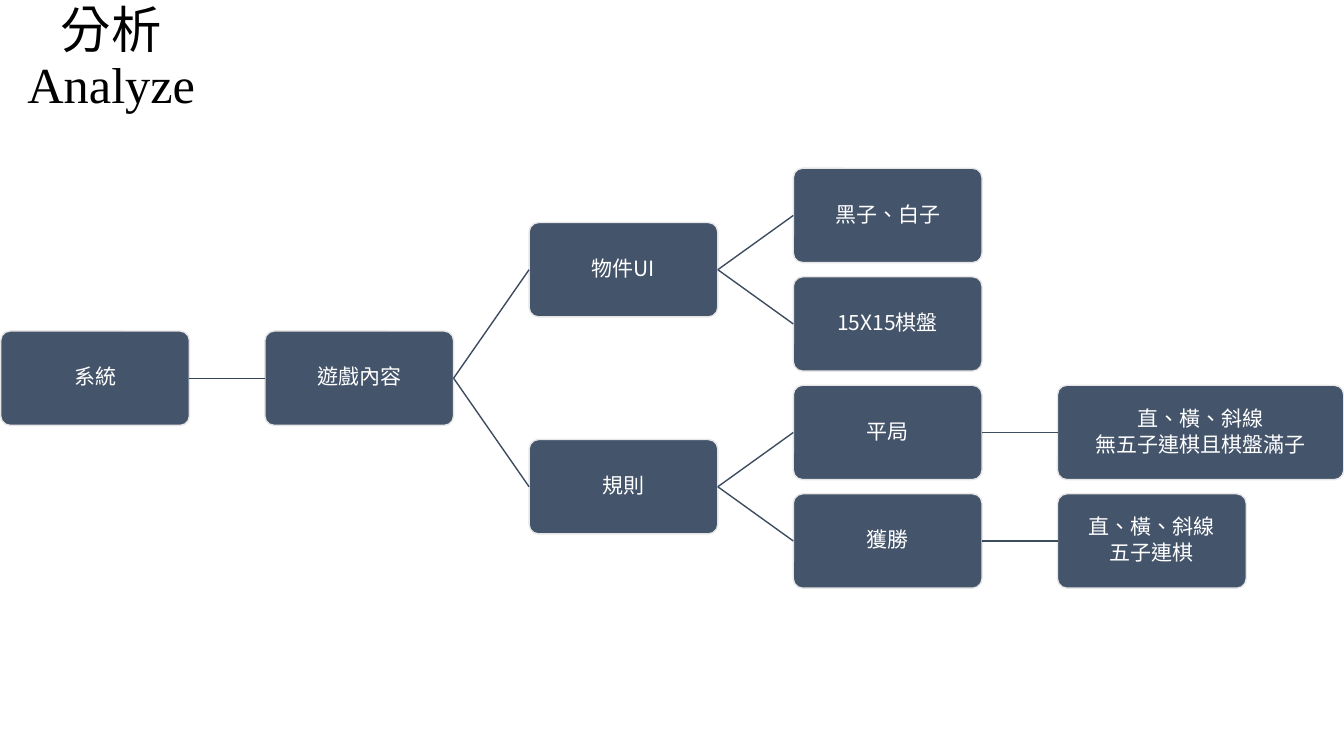
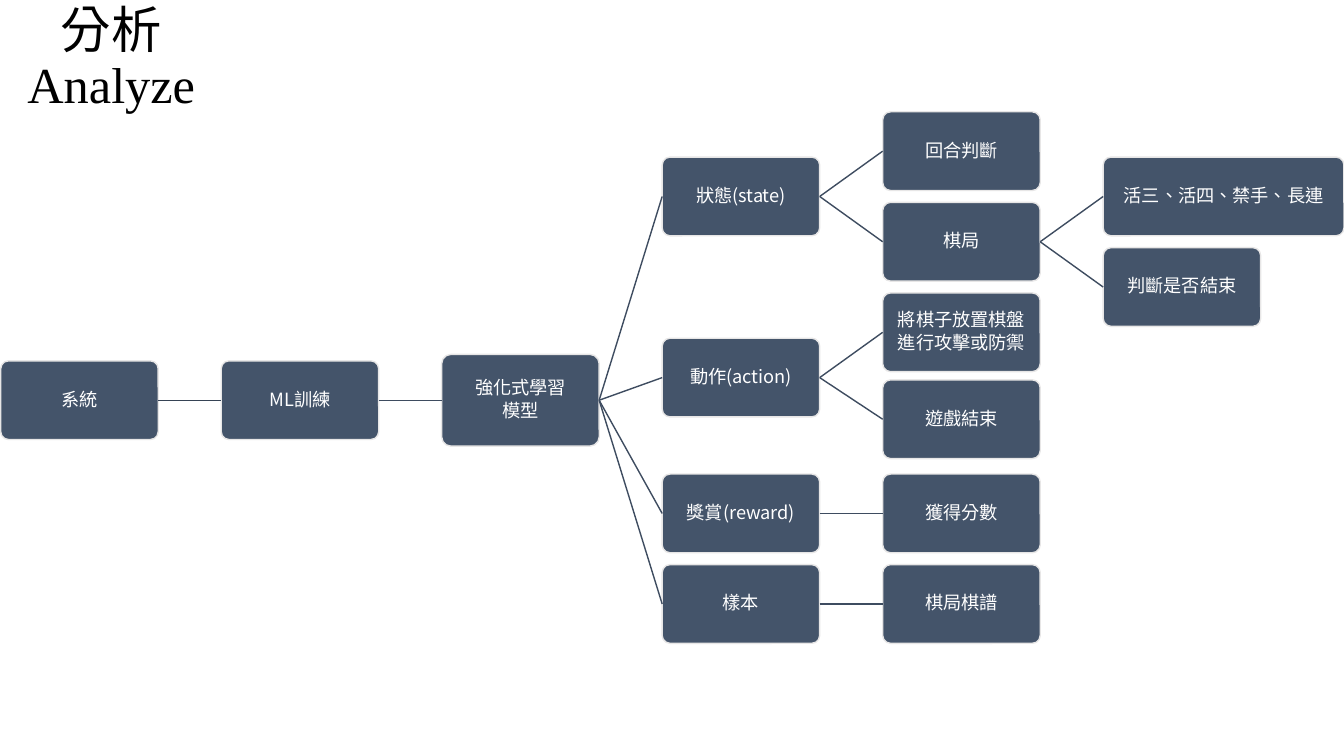
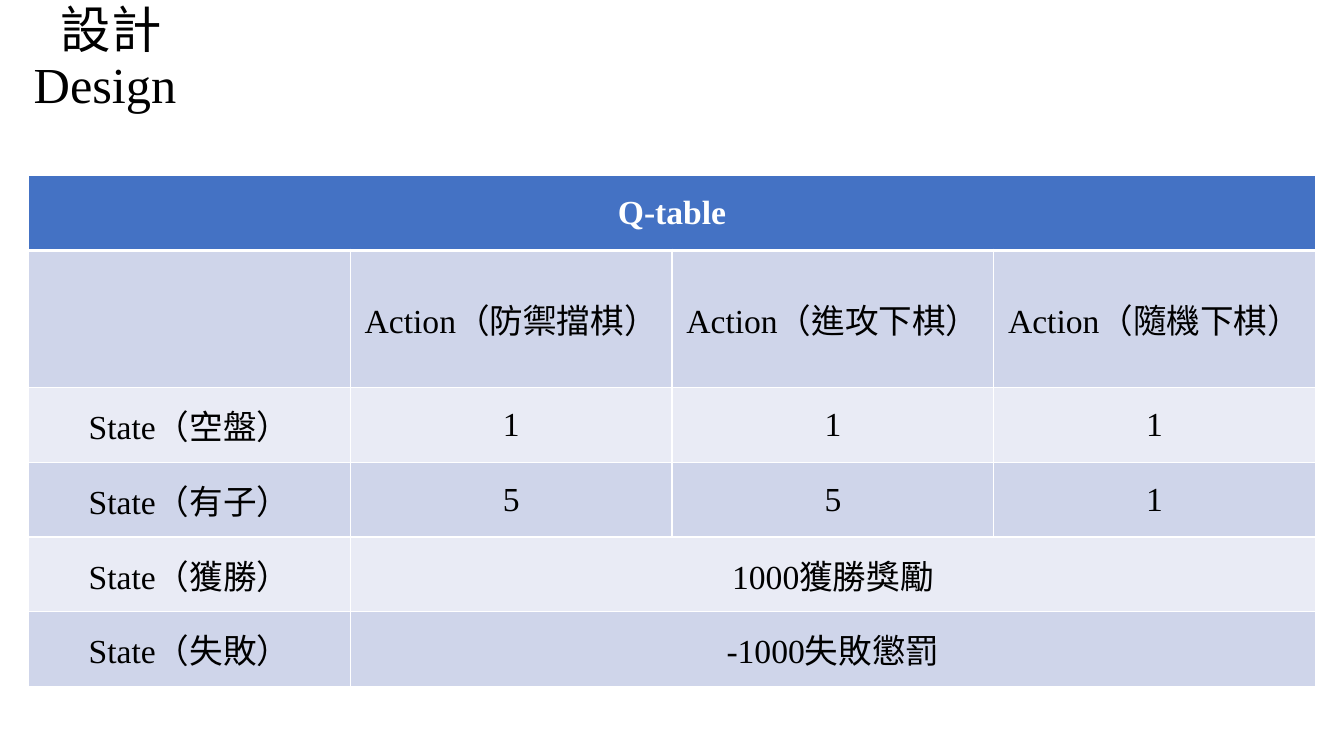
from dataclasses import dataclass
from lxml import etree
from pptx import Presentation
from pptx.dml.color import RGBColor
from pptx.enum import shapes, text
from pptx.oxml import ns
from pptx.util import Pt

SANS, SERIF = "Noto Sans CJK SC", "Times New Roman"
WHITE, BLACK = "FFFFFF", "000000"


@dataclass
class Node:
    label: str
    row: float
    kids: tuple = ()
    wide: float = 0
    tall: float = 0


def color(code):
    return RGBColor.from_string(code)


def paint(shape, fill, line):
    shape.shadow.inherit = False
    shape.fill.solid()
    shape.fill.fore_color.rgb = color(fill)
    shape.line.color.rgb = color(line)
    shape.line.width = Pt(1)


def write(frame, words, size=24, face=SERIF, ink=BLACK, bold=False, lead=None, gap=0):
    frame.text = words
    frame.word_wrap = True
    for para in frame.paragraphs:
        para.alignment = text.PP_ALIGN.CENTER
        para.line_spacing = lead
        para.space_after = Pt(gap)
        for run in para.runs:
            font = run.font
            font.size, font.name, font.bold = Pt(size), face, bold
            font.color.rgb = color(ink)
            props = run._r.get_or_add_rPr()
            props.set("lang", "zh-TW")
            etree.SubElement(props, ns.qn("a:ea"), typeface=SANS)


def edge(cell, side, width):
    line = etree.SubElement(cell._tc.get_or_add_tcPr(), ns.qn("a:ln" + side), w=str(Pt(width)))
    fill = etree.SubElement(line, ns.qn("a:solidFill"))
    etree.SubElement(fill, ns.qn("a:srgbClr"), val=WHITE)


class Deck:
    fill, rim = "44546A", "E7E6E6"
    first, later = "364355", "3E4C60"
    head, bands = "4472C4", ("E9EBF5", "CFD5EA")

    def __init__(self):
        self.file = Presentation()
        self.file.slide_width, self.file.slide_height = Pt(960), Pt(540)

    def page(self, words):
        self.slide = self.file.slides.add_slide(self.file.slide_layouts[5])
        title = self.slide.shapes.title
        title.left, title.top, title.width, title.height = 0, 0, Pt(159), Pt(85.5)
        frame = title.text_frame
        write(frame, words, size=36, lead=0.9)
        frame.auto_size = text.MSO_AUTO_SIZE.NONE
        frame.vertical_anchor = text.MSO_ANCHOR.MIDDLE

    def box(self, words, left, mid, wide, tall, size):
        shape = self.slide.shapes.add_shape(
            shapes.MSO_SHAPE.ROUNDED_RECTANGLE, Pt(left), Pt(mid - tall / 2), Pt(wide), Pt(tall))
        shape.adjustments[0] = 0.1
        paint(shape, self.fill, self.rim)
        frame = shape.text_frame
        frame.margin_left = frame.margin_right = Pt(1)
        frame.margin_top = frame.margin_bottom = Pt(1)
        frame.vertical_anchor = text.MSO_ANCHOR.MIDDLE
        write(frame, words, size=size, face=SANS, ink=WHITE, lead=0.9, gap=size * 0.15)
        return shape

    def link(self, start, end, ink):
        line = self.slide.shapes.add_connector(shapes.MSO_CONNECTOR.STRAIGHT, 0, 0, 0, 0)
        line.begin_connect(start, 3)
        line.end_connect(end, 1)
        line.line.color.rgb = color(ink)
        line.line.width = Pt(1)
        etree.SubElement(line._element.spPr, ns.qn("a:effectLst"))

    def tree(self, node, top, wide, size, level=0):
        shape = self.box(node.label, 0.5 + level * wide * 1.4, top + node.row * wide * 0.575,
                         node.wide or wide, node.tall or wide / 2, size)
        for kid in node.kids:
            child = self.tree(kid, top, wide, size, level + 1)
            self.link(shape, child, self.later if level else self.first)
        return shape

    def table(self, rows, left, top, wide, tall):
        count = len(rows[0])
        grid = self.slide.shapes.add_table(
            len(rows), count, Pt(left), Pt(top), Pt(wide * count), Pt(sum(tall))).table
        grid.first_row = grid.horz_banding = False
        for col in grid.columns:
            col.width = Pt(wide)
        for r, row in enumerate(rows):
            grid.rows[r].height = Pt(tall[r])
            for c, words in enumerate(row):
                cell = grid.cell(r, c)
                for side in "LRTB":
                    thick = (r, side) in ((0, "B"), (1, "T"))
                    edge(cell, side, 3 if thick else 1)
                cell.fill.solid()
                cell.fill.fore_color.rgb = color(self.bands[r % 2] if r else self.head)
                cell.vertical_anchor = text.MSO_ANCHOR.MIDDLE
                if words:
                    write(cell.text_frame, words, ink=BLACK if r else WHITE, bold=not r)
            if None in row:
                start = row.index(None) - 1
                grid.cell(r, start).merge(grid.cell(r, count - 1))


GAME = Node("系統", 1.5, (
    Node("遊戲內容", 1.5, (
        Node("物件UI", 0.5, (Node("黑子、白子", 0), Node("15X15棋盤", 1))),
        Node("規則", 2.5, (
            Node("平局", 2, (Node("直、橫、斜線\n無五子連棋且棋盤滿子", 2, wide=204.5),)),
            Node("獲勝", 3, (Node("直、橫、斜線\n五子連棋", 3),)))))),))

MODEL = Node("系統", 2.75, (
    Node("ML訓練", 2.75, (
        Node("強化式學習\n模型", 2.75, (
            Node("狀態(state)", 0.5, (
                Node("回合判斷", 0),
                Node("棋局", 1, (
                    Node("活三、活四、禁手、長連", 0.5, wide=172),
                    Node("判斷是否結束", 1.5))))),
            Node("動作(action)", 2.5, (
                Node("將棋子放置棋盤\n進行攻擊或防禦", 2),
                Node("遊戲結束", 2.96))),
            Node("獎賞(reward)", 4, (Node("獲得分數", 4),)),
            Node("樣本", 5, (Node("棋局棋譜", 5),))), tall=65.5),)),))

SCORES = [
    ["Q-table", None, None, None],
    ["", "Action（防禦擋棋）", "Action（進攻下棋）", "Action（隨機下棋）"],
    ["State（空盤）", "1", "1", "1"],
    ["State（有子）", "5", "5", "1"],
    ["State（獲勝）", "1000獲勝獎勵", None, None],
    ["State（失敗）", "-1000失敗懲罰", None, None],
]


def main():
    deck = Deck()
    deck.page("分析\vAnalyze")
    deck.tree(GAME, top=153.9, wide=134.8, size=15)
    deck.page("分析\vAnalyze")
    deck.tree(MODEL, top=108, wide=112.5, size=13)
    deck.page("設計\vDesign ")
    deck.table(SCORES, left=20.5, top=125.5, wide=229.8, tall=[53.4, 98] + [53.4] * 4)
    deck.file.save("out.pptx")


if __name__ == "__main__":
    main()
